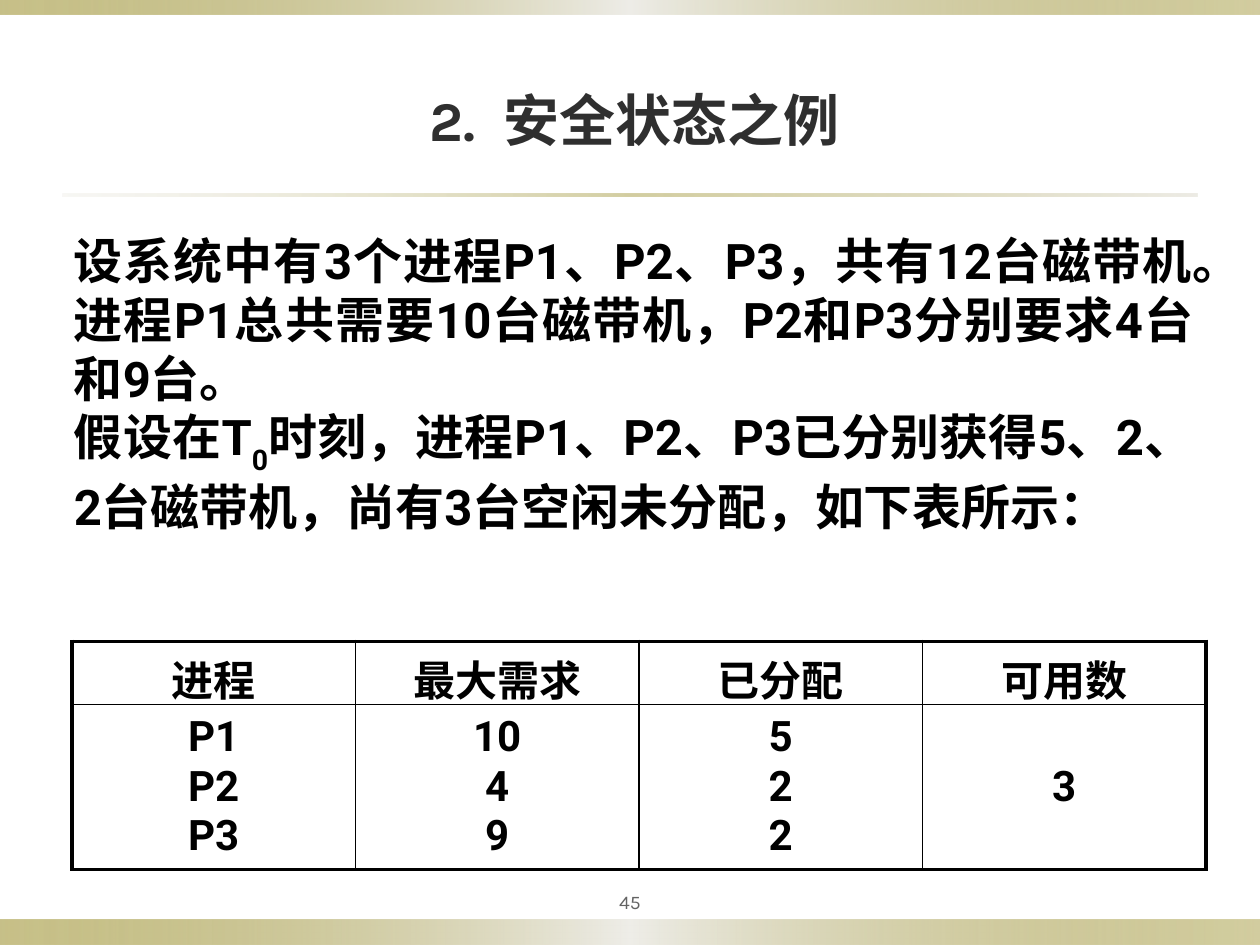
from lxml import etree
from pptx import Presentation
from pptx.dml.color import RGBColor
from pptx.enum.shapes import MSO_SHAPE
from pptx.enum.text import MSO_ANCHOR, MSO_AUTO_SIZE, PP_ALIGN
from pptx.oxml.ns import qn
from pptx.util import Cm, Pt

RECTANGLE = MSO_SHAPE.RECTANGLE
MIDDLE, BOTTOM = MSO_ANCHOR.MIDDLE, MSO_ANCHOR.BOTTOM
CENTER, JUSTIFY = PP_ALIGN.CENTER, PP_ALIGN.JUSTIFY
GROW = MSO_AUTO_SIZE.SHAPE_TO_FIT_TEXT

THEME = {
    "east_asian": "Noto Sans CJK SC",
    "title": {"name": "Karla", "size": Pt(32), "bold": True, "color": "2F2F2F"},
    "number": {"name": "Karla", "size": Pt(11), "bold": False, "color": "636363"},
    "body": {"name": "Roboto", "size": Pt(28), "bold": True, "color": "000000"},
    "table": {"name": "Roboto", "size": Pt(24), "bold": True, "color": "000000"},
    "border": "000000",
    "outer_line": Pt(2.25),
    "inner_line": Pt(1),
    "band": [(0, "918415", 50), (50, "EEEDE8", 100), (100, "918415", 40)],
    "rule": [(0, "DCD9CC", 20), (50, "918415", 40), (100, "DCD9CC", 50)],
}


def add_span(para, text, style, **attributes):
    span = para.add_run()
    span.text = text
    for name, value in THEME[style].items():
        if name == "color":
            span.font.color.rgb = RGBColor.from_string(value)
        else:
            setattr(span.font, name, value)
    properties = span._r.get_or_add_rPr()
    etree.SubElement(properties, qn("a:ea"), typeface=THEME["east_asian"])
    for name, value in attributes.items():
        properties.set(name, value)


deck = Presentation()
deck.slide_width, deck.slide_height = Cm(25.4), Cm(19.05)
page = deck.slides.add_slide(deck.slide_layouts[5])

strips = [
    (0, 18.54, 25.4, 0.51, "band"),
    (0, 0, 25.4, 0.3, "band"),
    (1.27, 3.91, 22.86, 0.05, "rule"),
]
for left, top, width, height, gradient in strips:
    strip = page.shapes.add_shape(RECTANGLE, Cm(left), Cm(top), Cm(width), Cm(height))
    strip.shadow.inherit = False
    strip.line.fill.background()
    strip.fill.gradient()
    strip.fill.gradient_angle = 0
    stops = strip._element.spPr.find(".//" + qn("a:gsLst"))
    for stop in list(stops):
        stops.remove(stop)
    for position, color, opacity in THEME[gradient]:
        stop = etree.SubElement(stops, qn("a:gs"), pos=str(position * 1000))
        shade = etree.SubElement(stop, qn("a:srgbClr"), val=color)
        etree.SubElement(shade, qn("a:alpha"), val=str(opacity * 1000))

title = page.shapes.title
title.left, title.top, title.width, title.height = Cm(1.3), Cm(1.52), Cm(22.99), Cm(1.75)
title.text_frame.vertical_anchor = MIDDLE
para = title.text_frame.paragraphs[0]
para.alignment = CENTER
add_span(para, "2.", "title")
add_span(para, " ", "title", spc="800")
add_span(para, "安全状态之例", "title")

number_box = page.shapes.add_textbox(Cm(11.43), Cm(17.78), Cm(2.54), Cm(0.79))
frame = number_box.text_frame
frame.word_wrap = True
frame.vertical_anchor = MIDDLE
for side in ("left", "top", "right", "bottom"):
    setattr(frame, f"margin_{side}", Cm(0.13))
para = frame.paragraphs[0]
para.alignment = CENTER
add_span(para, "45", "number")

body_box = page.shapes.add_textbox(Cm(1.24), Cm(4.52), Cm(23.06), Cm(6.25))
frame = body_box.text_frame
frame.word_wrap = True
frame.auto_size = GROW
para = frame.paragraphs[0]
para.alignment = JUSTIFY
add_span(
    para,
    "设系统中有3个进程P1、P2、P3，共有12台磁带机。"
    "进程P1总共需要10台磁带机，P2和P3分别要求4台和9台。",
    "body",
)
para = frame.add_paragraph()
para.alignment = JUSTIFY
add_span(para, "假设在T", "body")
add_span(para, "0", "body", baseline="-30000")
add_span(
    para,
    "时刻，进程P1、P2、P3已分别获得5、2、2台磁带机，"
    "尚有3台空闲未分配，如下表所示：",
    "body",
)

rows = [
    [["进程"], ["最大需求"], ["已分配"], ["可用数"]],
    [["P1", "P2", "P3"], ["10", "4", "9"], ["5", "2", "2"], ["3"]],
]
row_count, column_count = len(rows), len(rows[0])
table = page.shapes.add_table(
    row_count, column_count, Cm(1.45), Cm(12.93), Cm(22.86), Cm(4.6)
).table
table.first_row = table.horz_banding = False
for row, height in zip(table.rows, (1.27, 3.33)):
    row.height = Cm(height)

for row_index, row in enumerate(rows):
    for column_index, lines in enumerate(row):
        cell = table.cell(row_index, column_index)
        cell.vertical_anchor = MIDDLE if row_index else BOTTOM
        cell.margin_bottom = Cm(0.13) if row_index else 0
        for line_index, line in enumerate(lines):
            frame = cell.text_frame
            para = frame.add_paragraph() if line_index else frame.paragraphs[0]
            para.alignment = CENTER
            add_span(para, line, "table")
        outer_sides = {
            "a:lnL": column_index == 0,
            "a:lnR": column_index == column_count - 1,
            "a:lnT": row_index == 0,
            "a:lnB": row_index == row_count - 1,
        }
        properties = cell._tc.get_or_add_tcPr()
        for tag, is_outer in outer_sides.items():
            weight = THEME["outer_line" if is_outer else "inner_line"]
            border = etree.SubElement(properties, qn(tag), w=str(int(weight)))
            paint = etree.SubElement(border, qn("a:solidFill"))
            etree.SubElement(paint, qn("a:srgbClr"), val=THEME["border"])
        cell.fill.background()

deck.save("out.pptx")
